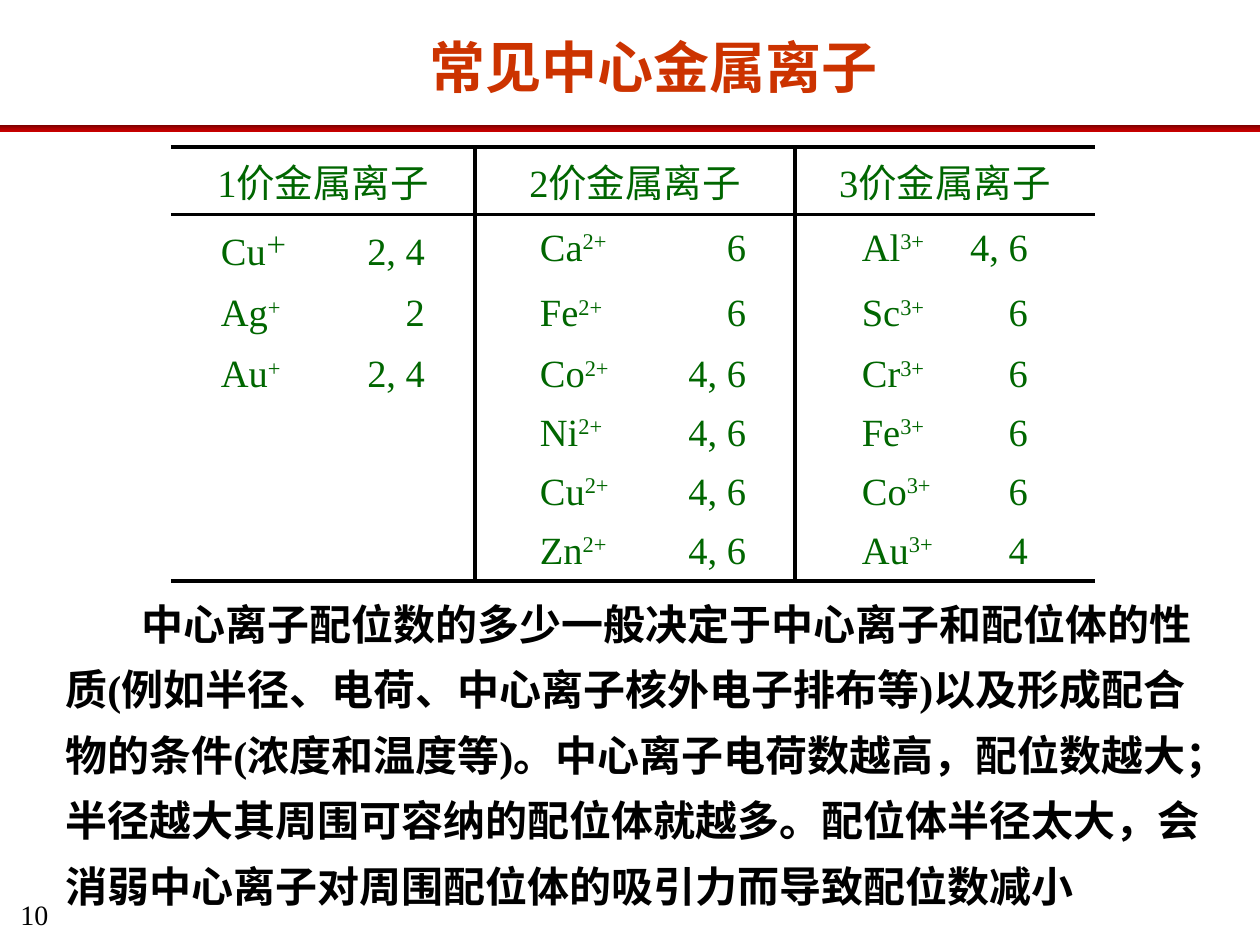
import copy

import pptx
import pptx.dml.color
import pptx.enum.shapes
import pptx.enum.text
import pptx.oxml.ns
import pptx.util
from lxml import etree

# Content
TITLE = "常见中心金属离子"
PAGE = "10"
BODY = (
    "中心离子配位数的多少一般决定于中心离子和配位体的性质(例如半径、电荷、中心离子核外电子排布等)"
    "以及形成配合物的条件(浓度和温度等)。中心离子电荷数越高，配位数越大；半径越大其周围可容纳的配位体就越多。"
    "配位体半径太大，会消弱中心离子对周围配位体的吸引力而导致配位数减小"
)
# Each ion: symbol, charge, coordination numbers; start and end are px within the column
COLUMNS = [
    {"heading": "1价金属离子", "width": 304, "start": 50, "end": 254,
     "ions": [("Cu", "＋", "2, 4"), ("Ag", "+", "2"), ("Au", "+", "2, 4")]},
    {"heading": "2价金属离子", "width": 320, "start": 65, "end": 271,
     "ions": [("Ca", "2+", "6"), ("Fe", "2+", "6"), ("Co", "2+", "4, 6"),
              ("Ni", "2+", "4, 6"), ("Cu", "2+", "4, 6"), ("Zn", "2+", "4, 6")]},
    {"heading": "3价金属离子", "width": 300, "start": 67, "end": 233,
     "ions": [("Al", "3+", "4, 6"), ("Sc", "3+", "6"), ("Cr", "3+", "6"),
              ("Fe", "3+", "6"), ("Co", "3+", "6"), ("Au", "3+", "4")]},
]
ROW_HEIGHTS = [59, 59, 63, 59, 59, 59, 59]

THEME = {
    "font": "Times New Roman",
    "title": {"size": 32, "color": "CC3300", "bold": True},
    "table": {"size": 22, "color": "006600", "bold": False},
    "body": {"size": 24, "color": "000000", "bold": True},
    "page": {"size": 16, "color": "000000", "bold": False},
    "border": "000000",
    "border_width": 2.25,
    "rule": ["790000", "AC0000", "CC0000"],
}
qn = pptx.oxml.ns.qn


def px(length):
    return pptx.util.Emu(round(length * 914400 / 126))


def set_all(target, values):
    for name, value in values.items():
        setattr(target, name, value)


def style_font(font, role):
    style = THEME[role]
    set_all(font, {"name": THEME["font"], "size": pptx.util.Pt(style["size"]), "bold": style["bold"]})
    font.color.rgb = pptx.dml.color.RGBColor.from_string(style["color"])


def write_text(shape, box, text, role, **frame_format):
    set_all(shape, dict(zip(("left", "top", "width", "height"), map(px, box))))
    frame = shape.text_frame
    set_all(frame, {"word_wrap": True, "auto_size": pptx.enum.text.MSO_AUTO_SIZE.NONE, **frame_format})
    paragraph = frame.paragraphs[0]
    run = paragraph.add_run()
    run.text = text
    style_font(run.font, role)
    return paragraph


def set_borders(cell, drawn):
    properties = cell._tc.get_or_add_tcPr()
    for side in "LRTB":
        line = etree.SubElement(properties, qn("a:ln" + side))
        if side in drawn:
            line.set("w", str(pptx.util.Pt(THEME["border_width"])))
            fill = etree.SubElement(line, qn("a:solidFill"))
            etree.SubElement(fill, qn("a:srgbClr"), val=THEME["border"])
        else:
            etree.SubElement(line, qn("a:noFill"))


def add_right_tab(paragraph, position):
    tabs = etree.SubElement(paragraph._p.get_or_add_pPr(), qn("a:tabLst"))
    etree.SubElement(tabs, qn("a:tab"), pos=str(position), algn="r")


def write_ion(cell, column, ion):
    symbol, charge, numbers = ion
    cell.margin_left = px(column["start"])
    paragraph = cell.text_frame.paragraphs[0]
    add_right_tab(paragraph, px(column["end"] - column["start"]))
    for text, baseline in ((symbol, 0), (charge, 30000), ("\t" + numbers, 0)):
        run = paragraph.add_run()
        run.text = text
        style_font(run.font, "table")
        if baseline:
            run.font._element.set("baseline", str(baseline))


def add_ion_table(slide):
    row_count, column_count = len(ROW_HEIGHTS), len(COLUMNS)
    width = sum(column["width"] for column in COLUMNS)
    table = slide.shapes.add_table(
        row_count, column_count, px(171), px(147), px(width), px(sum(ROW_HEIGHTS))).table
    set_all(table, {"first_row": False, "horz_banding": False})
    for row, height in zip(table.rows, ROW_HEIGHTS):
        row.height = px(height)
    for c, column in enumerate(COLUMNS):
        table.columns[c].width = px(column["width"])
        for r in range(row_count):
            cell = table.cell(r, c)
            drawn = ("L" if c else "") + ("R" if c < column_count - 1 else "")
            drawn += {0: "TB", 1: "T", row_count - 1: "B"}.get(r, "")
            set_borders(cell, drawn)
            cell.fill.background()
            set_all(cell, {"vertical_anchor": pptx.enum.text.MSO_ANCHOR.MIDDLE,
                           "margin_top": px(6), "margin_bottom": px(6)})
            paragraph = cell.text_frame.paragraphs[0]
            if r == 0:
                paragraph.alignment = pptx.enum.text.PP_ALIGN.CENTER
                run = paragraph.add_run()
                run.text = column["heading"]
                style_font(run.font, "table")
            elif r <= len(column["ions"]):
                write_ion(cell, column, column["ions"][r - 1])
            else:
                style_font(paragraph.font, "table")


def add_rule(slide):
    rule = slide.shapes.add_shape(
        pptx.enum.shapes.MSO_SHAPE.RECTANGLE, px(0), px(125), px(1260), px(7))
    rule.shadow.inherit = False
    rule.line.fill.background()
    rule.fill.gradient()
    rule.fill.gradient_angle = 270
    stops = rule._element.spPr.find(".//" + qn("a:gsLst"))
    stops.append(copy.deepcopy(stops[0]))
    for i, (stop, color) in enumerate(zip(rule.fill.gradient_stops, THEME["rule"])):
        stop.position = i / 2
        stop.color.rgb = pptx.dml.color.RGBColor.from_string(color)


def main():
    presentation = pptx.Presentation()
    set_all(presentation, {"slide_width": px(1260), "slide_height": px(945)})
    slide = presentation.slides.add_slide(presentation.slide_layouts[5])

    # Title and page number
    title = write_text(slide.shapes.title, (343, 26, 622, 80), TITLE, "title",
                       vertical_anchor=pptx.enum.text.MSO_ANCHOR.MIDDLE)
    title.alignment = pptx.enum.text.PP_ALIGN.CENTER
    write_text(slide.shapes.add_textbox(0, 0, 0, 0), (8, 891, 64, 47), PAGE, "page")

    # Ion table
    add_ion_table(slide)

    # Explanation with an indented first line
    body = write_text(slide.shapes.add_textbox(0, 0, 0, 0), (53, 577, 1169, 344), BODY, "body")
    body.line_spacing = 1.3
    body._p.get_or_add_pPr().set("indent", str(px(76)))

    # Red rule under the title
    add_rule(slide)
    presentation.save("out.pptx")


if __name__ == "__main__":
    main()
